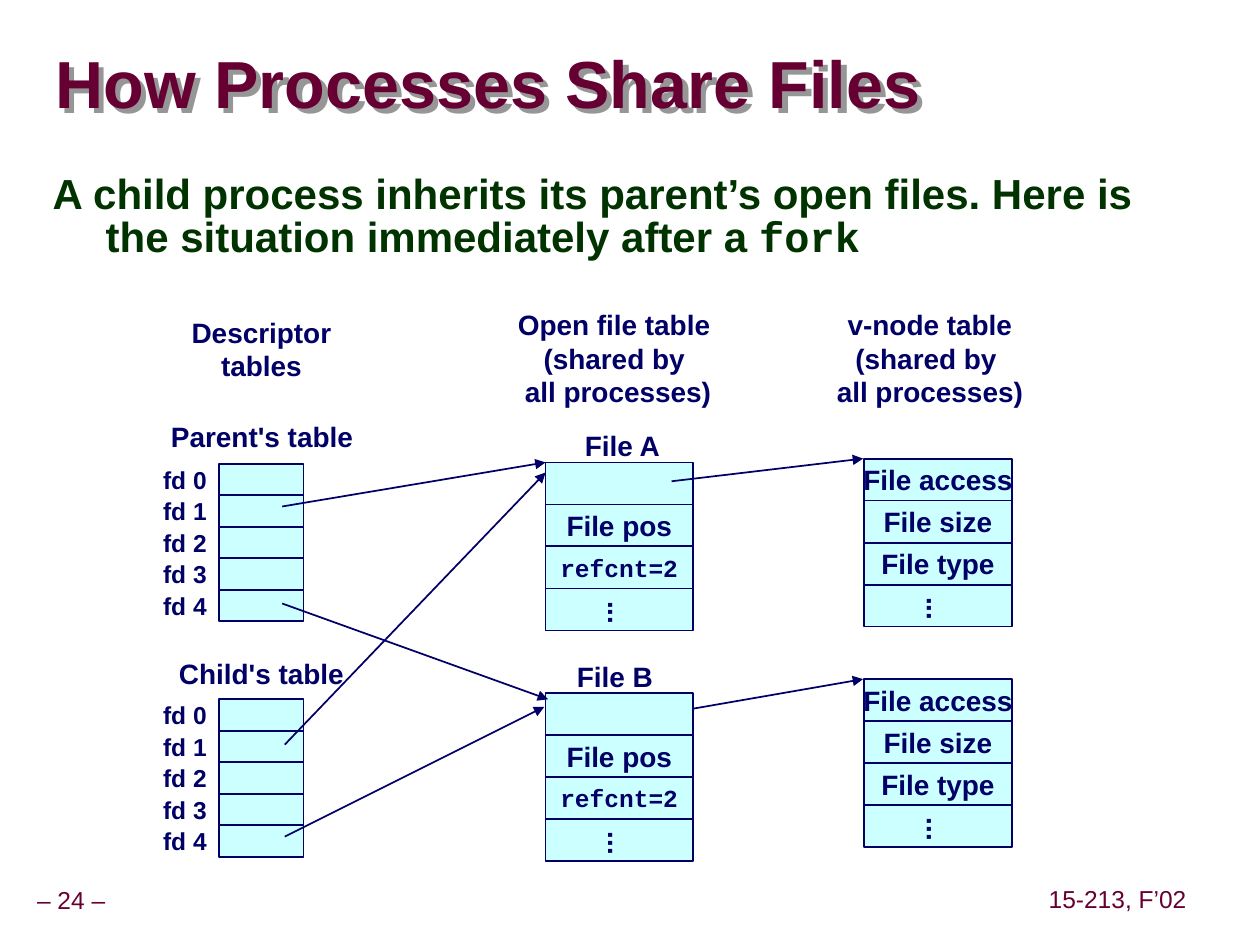
from lxml import etree
from pptx import Presentation
from pptx.dml.color import RGBColor
from pptx.enum.shapes import MSO_CONNECTOR, MSO_SHAPE
from pptx.enum.text import MSO_ANCHOR, PP_ALIGN
from pptx.oxml import parse_xml
from pptx.oxml.ns import nsdecls, qn
from pptx.util import Inches, Pt

LEFT, CENTER, RIGHT = PP_ALIGN.LEFT, PP_ALIGN.CENTER, PP_ALIGN.RIGHT
TOP, MIDDLE = MSO_ANCHOR.TOP, MSO_ANCHOR.MIDDLE
RECTANGLE, STRAIGHT = MSO_SHAPE.RECTANGLE, MSO_CONNECTOR.STRAIGHT

COLORS = {"title": "660033", "body": "003300", "ink": "000066",
          "cell": "CCFFFF", "shadow": "969696"}
SANS, MONO = "Arial", "Courier New"

# Content
TITLE = "How Processes Share Files"
BODY = [("A child process inherits its parent’s open files. "
         "Here is the situation immediately after a ", SANS), ("fork", MONO)]
DESCRIPTORS = ["fd 0", "fd 1", "fd 2", "fd 3", "fd 4"]
OPEN_FILE = ["", "File pos", "refcnt=2", "..."]
V_NODE = ["File access", "File size", "File type", "..."]
SHARED = ["(shared by ", "all processes)"]

# Grid: left edge, cell width and row height of each column; top of each table
COLUMNS = {
    "descriptor": (1.74, 0.67, 0.25),
    "open": (4.33, 1.17, 1 / 3),
    "vnode": (6.86, 1.17, 1 / 3),
}
TABLES = [
    ("descriptor", 3.68, [""] * len(DESCRIPTORS)),
    ("descriptor", 5.55, [""] * len(DESCRIPTORS)),
    ("open", 3.67, OPEN_FILE), ("open", 5.5, OPEN_FILE),
    ("vnode", 3.64, V_NODE), ("vnode", 5.39, V_NODE),
]
HEADINGS = [  # left, top, width, height, lines, wrap
    (1.14, 2.45, 1.87, 0.64, ["Descriptor tables"], True),
    (4.01, 2.39, 1.79, 0.9, ["Open file table "] + SHARED, False),
    (6.54, 2.39, 1.68, 0.9, ["v-node table"] + SHARED, False),
    (1.23, 3.28, 1.7, 0.37, ["Parent's table"], False),
    (1.29, 5.16, 1.57, 0.37, ["Child's table"], False),
    (4.54, 3.35, 0.8, 0.37, ["File A"], False),
    (4.48, 5.18, 0.8, 0.37, ["File B"], False),
]
FOOTERS = [(-0.09, 7, 1.31, 0.31, "– 24 –"),
           (8.27, 6.99, 1.2, 0.31, "15-213, F’02")]
ARROW_BEHIND = ((5.24, 5.67), (6.85, 5.39))
ARROWS = [
    ((2.24, 4.02), (4.33, 3.67)), ((2.24, 4.79), (4.35, 5.55)),
    ((2.26, 5.91), (4.33, 3.75)), ((2.26, 6.64), (4.32, 5.61)),
    ((5.33, 3.82), (6.85, 3.64)),
]

presentation = Presentation()
presentation.slide_width, presentation.slide_height = Inches(10), Inches(7.5)
slide = presentation.slides.add_slide(presentation.slide_layouts[6])


def rgb(name):
    return RGBColor.from_string(COLORS[name])


def set_font(font, size, color, bold=True, name=SANS):
    font.size, font.bold, font.name = Pt(size), bold, name
    font.color.rgb = rgb(color)


def set_frame(frame, margins=(0.1, 0.05), wrap=False, anchor=MIDDLE):
    frame.margin_left = frame.margin_right = Inches(margins[0])
    frame.margin_top = frame.margin_bottom = Inches(margins[1])
    frame.word_wrap, frame.vertical_anchor = wrap, anchor


def write(frame, lines, size, color="ink", align=CENTER, spacing=None,
          bold=True, name=SANS):
    for index, line in enumerate(lines):
        paragraph = frame.paragraphs[0] if index == 0 else frame.add_paragraph()
        paragraph.text, paragraph.alignment = line, align
        if spacing:
            paragraph.line_spacing = spacing
        set_font(paragraph.font, size, color, bold, name)


def add_text_box(left, top, width, height, **frame_options):
    box = slide.shapes.add_textbox(*map(Inches, (left, top, width, height)))
    set_frame(box.text_frame, **frame_options)
    return box


def add_cell(left, top, width, height, text):
    shape = slide.shapes.add_shape(
        RECTANGLE, *map(Inches, (left, top, width, height)))
    shape.shadow.inherit = False
    shape.fill.solid()
    shape.fill.fore_color.rgb = rgb("cell")
    shape.line.color.rgb, shape.line.width = rgb("ink"), Pt(1)
    if not text:
        return
    vertical = text == "..."
    set_frame(shape.text_frame, (0.05, 0.1) if vertical else (0.1, 0.05))
    if vertical:
        shape.text_frame._txBody.bodyPr.set("vert", "eaVert")
    code = text.startswith("refcnt")
    write(shape.text_frame, [text], 14 if code else 16,
          name=MONO if code else SANS)


def add_arrow(start, end):
    arrow = slide.shapes.add_connector(STRAIGHT, *map(Inches, start + end))
    arrow.line.color.rgb, arrow.line.width = rgb("ink"), Pt(1)
    etree.SubElement(arrow.line._get_or_add_ln(), qn("a:tailEnd"), type="triangle")
    etree.SubElement(arrow._element.spPr, qn("a:effectLst"))


# Title: the box has no fill, so its shadow falls from the letters
title = add_text_box(0.44, 0.27, 9.53, 0.85, margins=(0, 0), wrap=True)
write(title.text_frame, [TITLE], 38, "title", LEFT, 0.87)
title._element.spPr.append(parse_xml(
    f'<a:effectLst {nsdecls("a")}>'
    f'<a:outerShdw dist="{Pt(4.5)}" dir="2700000" algn="ctr" rotWithShape="0">'
    f'<a:srgbClr val="{COLORS["shadow"]}"/></a:outerShdw></a:effectLst>'))

# Body sentence with a hanging indent
body_box = add_text_box(0.32, 1.34, 9.09, 0.83, wrap=True, anchor=TOP)
body = body_box.text_frame.paragraphs[0]
body.line_spacing = 0.85
properties = body._p.get_or_add_pPr()
properties.set("marL", str(Inches(0.42)))
properties.set("indent", str(Inches(-0.42)))
for text, font_name in BODY:
    run = body.add_run()
    run.text = text
    set_font(run.font, 24, "body", name=font_name)

# Tables, with descriptor labels to their left
add_arrow(*ARROW_BEHIND)
for column, top, rows in TABLES:
    left, width, height = COLUMNS[column]
    for row, text in enumerate(rows):
        row_top = top + row * height
        add_cell(left, row_top, width, height, text)
        if column == "descriptor":
            label = add_text_box(left - width, row_top, width, height)
            write(label.text_frame, [DESCRIPTORS[row]], 14, align=RIGHT)

# Arrows, headings and footers
for start, end in ARROWS:
    add_arrow(start, end)
for left, top, width, height, lines, wrap in HEADINGS:
    heading = add_text_box(left, top, width, height, wrap=wrap)
    write(heading.text_frame, lines, 16)
for left, top, width, height, text in FOOTERS:
    footer = add_text_box(left, top, width, height, margins=(0.05, 0.05))
    write(footer.text_frame, [text], 14, "title", spacing=0.9, bold=False)

presentation.save("out.pptx")
